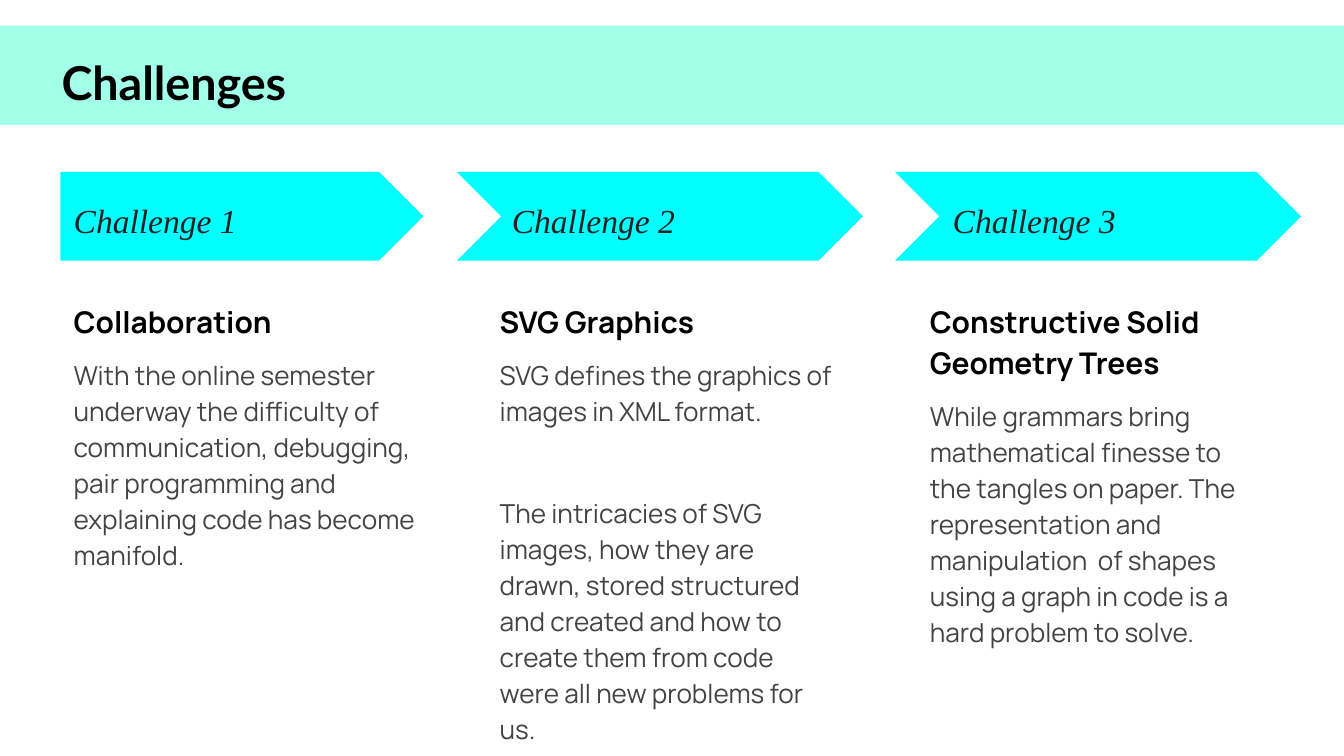
from pptx import Presentation
from pptx.dml.color import RGBColor
from pptx.enum.shapes import MSO_SHAPE
from pptx.enum.text import MSO_ANCHOR
from pptx.util import Inches, Pt

RECT = MSO_SHAPE.RECTANGLE
PENTAGON = MSO_SHAPE.PENTAGON
CHEVRON = MSO_SHAPE.CHEVRON
TOP, MIDDLE = MSO_ANCHOR.TOP, MSO_ANCHOR.MIDDLE

COLORS = {
    "band": "A2FFE8",
    "arrow": "00FFFF",
    "label": "222222",
    "heading": "000000",
    "body": "434343",
}

BODY_GAP = 8
SECTION_GAP = 35.5  # one skipped body line plus its spacing

# arrow: shape, left, width; label: left; body: left, width, height
CHALLENGES = [
    {
        "arrow": (PENTAGON, 0.45, 2.7), "label": 0.45, "body": (0.45, 2.76, 2.23),
        "heading": "Collaboration",
        "texts": ["With the online semester underway the difficulty of "
                  "communication, debugging, pair programming and explaining "
                  "code has become manifold."],
    },
    {
        "arrow": (CHEVRON, 3.4, 3.02), "label": 3.71, "body": (3.62, 2.7, 3.45),
        "heading": "SVG Graphics",
        "texts": ["SVG defines the graphics of images in XML format.",
                  "The intricacies of SVG images, how they are drawn, stored "
                  "structured and created and how to create them from code "
                  "were all new problems for us."],
    },
    {
        "arrow": (CHEVRON, 6.66, 3.02), "label": 6.99, "body": (6.82, 2.7, 3.45),
        "heading": "Constructive Solid Geometry Trees",
        "texts": ["While grammars bring mathematical finesse to the tangles "
                  "on paper. The representation and manipulation  of shapes "
                  "using a graph in code is a hard problem to solve."],
    },
]


def add_block(slide, shape, left, top, width, height, color):
    sp = slide.shapes.add_shape(shape, Inches(left), Inches(top),
                                Inches(width), Inches(height))
    sp.shadow.inherit = False
    sp.fill.solid()
    sp.fill.fore_color.rgb = RGBColor.from_string(COLORS[color])
    sp.line.fill.background()


def add_text_frame(slide, left, top, width, height, anchor=TOP):
    box = slide.shapes.add_textbox(Inches(left), Inches(top),
                                   Inches(width), Inches(height))
    tf = box.text_frame
    tf.word_wrap = True
    tf.vertical_anchor = anchor
    tf.margin_left = tf.margin_right = Inches(0.1)
    tf.margin_top = tf.margin_bottom = Inches(0.1)
    return tf


def add_run(p, text, font, size, color, bold=False, italic=False):
    r = p.add_run()
    r.text = text
    r.font.name = font
    r.font.size = Pt(size)
    r.font.bold = bold
    r.font.italic = italic
    r.font.color.rgb = RGBColor.from_string(COLORS[color])


def add_challenge(slide, number, item):
    """Add one column: arrow, its label, and the heading with body text."""
    shape, left, width = item["arrow"]
    add_block(slide, shape, left, 1.28, width, 0.66, "arrow")

    tf = add_text_frame(slide, item["label"], 1.47, 2.47, 0.34, MIDDLE)
    add_run(tf.paragraphs[0], f"Challenge {number}", "Times New Roman", 18,
            "label", italic=True)

    left, width, height = item["body"]
    tf = add_text_frame(slide, left, 2.12, width, height)
    p = tf.paragraphs[0]
    p.line_spacing = 1.15
    add_run(p, item["heading"], "Manrope", 16, "heading", bold=True)
    for i, text in enumerate(item["texts"]):
        p = tf.add_paragraph()
        p.line_spacing = 1.15
        p.space_before = Pt(SECTION_GAP if i else BODY_GAP)
        add_run(p, text, "Manrope", 14, "body")


def add_title(slide, text):
    add_block(slide, RECT, 0, 0.19, 10, 0.74, "band")
    tf = add_text_frame(slide, 0.36, 0.3, 2.38, 0.52)
    add_run(tf.paragraphs[0], text, "Lato", 25, "heading", bold=True)


def main():
    prs = Presentation()
    prs.slide_width = Inches(10)
    prs.slide_height = Inches(10 * 9 / 16)
    slide = prs.slides.add_slide(prs.slide_layouts[6])
    for number, item in enumerate(CHALLENGES, start=1):
        add_challenge(slide, number, item)
    add_title(slide, "Challenges")
    prs.save("out.pptx")


if __name__ == "__main__":
    main()
